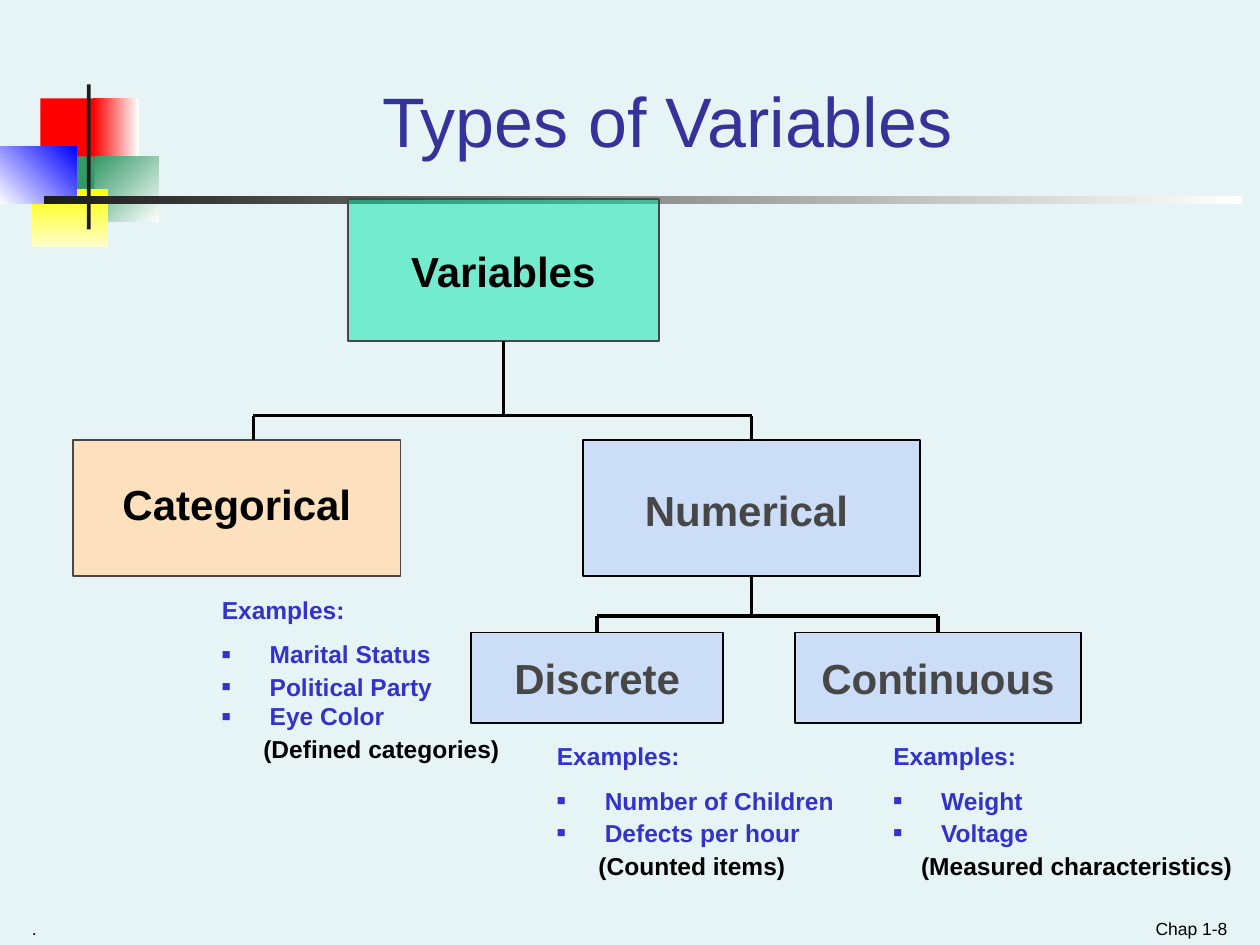
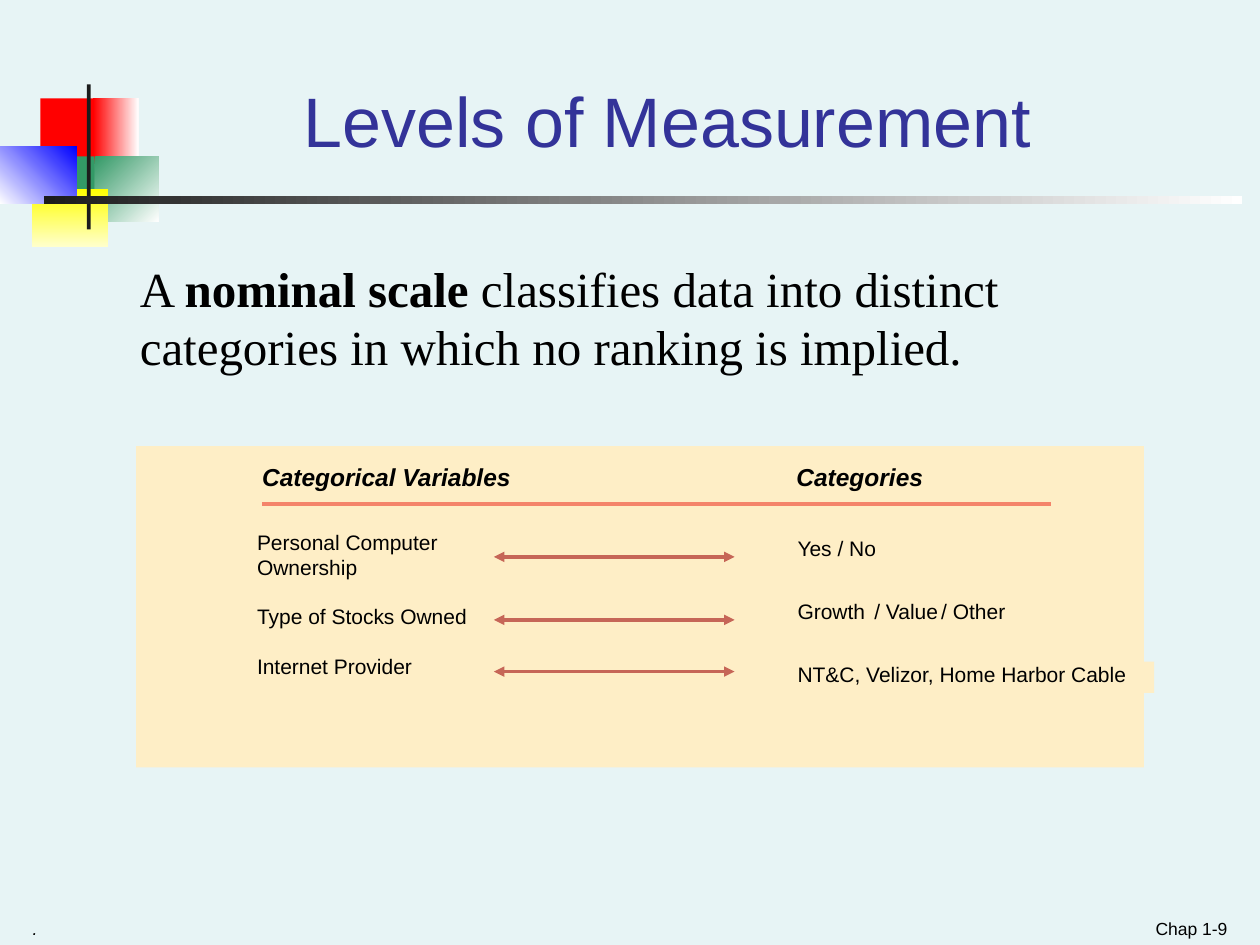
"""Builds two slides on types of variables and the nominal scale."""
from lxml import etree
from pptx import Presentation
from pptx.dml.color import RGBColor
from pptx.enum.shapes import MSO_CONNECTOR, MSO_SHAPE
from pptx.enum.text import MSO_ANCHOR, PP_ALIGN
from pptx.oxml.ns import qn
from pptx.util import Inches, Pt

RECT, LINE = MSO_SHAPE.RECTANGLE, MSO_CONNECTOR.STRAIGHT
LEFT, MID, RIGHT = PP_ALIGN.LEFT, PP_ALIGN.CENTER, PP_ALIGN.RIGHT
TOP, CENTER, BOTTOM = MSO_ANCHOR.TOP, MSO_ANCHOR.MIDDLE, MSO_ANCHOR.BOTTOM

PAPER, TITLE, BLACK, INK = "E7F4F5", "333399", "000000", "1C1C1C"
BLUE, GRAY, SKY, CREAM = "3333CC", "474747", "CBDDF7", "FEEEC6"
PAD = (0.09, 0.05, 0.09, 0.05)
FLAT = (0, 0, 0, 0)

# place, first colour, last colour, angle
DECOR = [
    ((0.32, 0.78, 0.48, 0.52), "FF0000", None, 0),
    ((0.74, 0.78, 0.36, 0.52), "FF0000", "FFFFFF", 0),
    ((0.75, 1.24, 0.51, 0.52), "339966", "FFFFFF", 45),
    ((0.43, 1.24, 0.32, 0.52), "339966", None, 0),
    ((0.25, 1.5, 0.61, 0.46), "FFFF00", "FFFFCC", 90),
    ((0, 1.16, 0.61, 0.46), "FFFFFF", "0000FF", 315),
    ((0.69, 0.67, 0.03, 1.15), INK, None, 0),
    ((0.35, 1.56, 9.51, 0.06), INK, "FFFFFF", 0),
]

# name: place, fill, line, text colour, insets
NODES = {
    "Variables": ((2.76, 1.58, 2.47, 1.13), "00E4A8", GRAY, BLACK, PAD),
    "Categorical": ((0.58, 3.49, 2.6, 1.08), "FDE0BD", GRAY, BLACK,
                    (0.1, 0.05, 0.1, 0.12)),
    "Numerical": ((4.63, 3.49, 2.67, 1.08), SKY, BLACK, GRAY,
                  (0.1, 0.08, 0.18, 0.05)),
    "Discrete": ((3.74, 5.02, 2, 0.72), SKY, BLACK, GRAY, PAD),
    "Continuous": ((6.31, 5.02, 2.27, 0.72), SKY, BLACK, GRAY, PAD),
}
# parent, height of the bar, line width, children with the shift of each drop
FORKS = [
    ("Variables", 3.3, 1.75, [("Categorical", 0.13), ("Numerical", 0)]),
    ("Numerical", 4.89, 2, [("Discrete", 0), ("Continuous", 0)]),
]
# place, items with the space before each, note, indent of the note
CASES = [
    ((1.67, 4.67, 2.75, 1.43),
     [("Marital Status", 8.8), ("Political Party", 1.8), ("Eye Color", 0)],
     "(Defined categories)", 0.33),
    ((4.33, 5.83, 2.5, 1.2),
     [("Number of Children", 8.8), ("Defects per hour", 1.8)],
     "(Counted items)", 0.33),
    ((7, 5.83, 3, 1.2), [("Weight", 8.8), ("Voltage", 1.8)],
     "(Measured characteristics)", 0.22),
]

SCALE = ["A ", "nominal scale", " classifies data into distinct categories "
         "in which no ranking is implied."]
HEADS = "Categorical Variables\tCategories"
NAMES = ["Personal Computer Ownership", "Type of Stocks Owned",
         "Internet Provider"]
# text, place, tab stops
KINDS = [
    ("Yes / No", (6.33, 4.25, 0.97, 0.28), ()),
    ("Growth\t/ Value\t/ Other", (6.33, 4.75, 1.87, 0.34), (0.61, 1.14)),
    ("NT&C, Velizor, Home Harbor Cable", (6.33, 5.25, 2.83, 0.25), ()),
]
ARROWS = [4.42, 4.92, 5.33]


def rgb(code):
    return RGBColor.from_string(code)


def add(node, tag, **attrs):
    return etree.SubElement(node, qn(tag), attrs)


def paint(part, code):
    part.solid()
    part.fore_color.rgb = rgb(code)


def rect(slide, place, fill, edge=None):
    shape = slide.shapes.add_shape(RECT, *map(Inches, place))
    shape.shadow.inherit = False
    paint(shape.fill, fill)
    if edge:
        shape.line.color.rgb = rgb(edge)
        shape.line.width = Pt(1)
    else:
        shape.line.fill.background()
    return shape


def blend(shape, first, last, angle):
    shape.fill.gradient()
    shape.fill.gradient_angle = -angle % 360
    for stop, code in zip(shape.fill.gradient_stops, (first, last)):
        stop.color.rgb = rgb(code)


def style(para, size, color, face="Arial", bold=False, slant=False):
    for run in para.runs:
        font = run.font
        font.name, font.size = face, Pt(size)
        font.bold, font.italic = bold, slant
        font.color.rgb = rgb(color)


def frame(shape, pad=PAD, anchor=TOP):
    box = shape.text_frame
    box.word_wrap = True
    box.vertical_anchor = anchor
    (box.margin_left, box.margin_top,
     box.margin_right, box.margin_bottom) = map(Inches, pad)
    return box


def write(shape, text, size, color, align=LEFT, pad=PAD, anchor=TOP, **look):
    box = frame(shape, pad, anchor)
    box.text = text
    for para in box.paragraphs:
        para.alignment = align
        style(para, size, color, **look)
    return box


def blank(slide, place):
    return slide.shapes.add_textbox(*map(Inches, place))


def indent(para, left, first=0):
    props = para._p.get_or_add_pPr()
    props.set("marL", str(Inches(left)))
    props.set("indent", str(Inches(first)))
    return props


def tabs(para, stops):
    if stops:
        group = add(para._p.get_or_add_pPr(), "a:tabLst")
        for stop in stops:
            add(group, "a:tab", pos=str(Inches(stop)), algn="l")


def line(slide, start, end, color, width, heads=False):
    link = slide.shapes.add_connector(LINE, *map(Inches, start + end))
    link.line.color.rgb = rgb(color)
    link.line.width = Pt(width)
    if heads:
        stroke = link.line._get_or_add_ln()
        add(stroke, "a:headEnd", type="triangle")
        add(stroke, "a:tailEnd", type="triangle")
    add(link._element.spPr, "a:effectLst")
    return link


def base(deck, title, page):
    slide = deck.slides.add_slide(deck.slide_layouts[6])
    paint(slide.background.fill, PAPER)
    for place, first, last, angle in DECOR:
        shape = rect(slide, place, first)
        if last:
            blend(shape, first, last, angle)
    write(blank(slide, (1.26, 0.25, 8.07, 1.08)), title, 40, TITLE, MID,
          anchor=BOTTOM)
    write(blank(slide, (0.17, 7.15, 6.17, 0.35)), ".", 10, BLACK,
          anchor=BOTTOM, slant=True)
    write(blank(slide, (7.5, 7.15, 2.33, 0.35)), f"Chap 1-{page}", 10, BLACK,
          RIGHT, anchor=BOTTOM)
    return slide


def fork(slide, boxes, parent, bar, width, kids):
    left, top, wide, high = NODES[parent][0]
    stem = left + wide / 2
    trunk = line(slide, (stem, top + high), (stem, bar), BLACK, width)
    trunk.begin_connect(boxes[parent], 2)
    ends = []
    for kid, shift in kids:
        left, top, wide, _ = NODES[kid][0]
        drop = left + wide / 2 + shift
        ends.append(drop)
        link = line(slide, (drop, bar), (drop, top), BLACK, width)
        if not shift:
            link.end_connect(boxes[kid], 0)
    line(slide, (ends[0], bar), (ends[-1], bar), BLACK, width)


def case(slide, place, items, note, inset):
    names = [name for name, _ in items]
    box = write(blank(slide, place), "\n".join(["Examples:", *names, note]),
                14, BLUE, bold=True)
    for para, (_, gap) in zip(box.paragraphs[1:], items):
        para.space_before = Pt(gap)
        props = indent(para, 0.38, -0.38)
        add(add(props, "a:buClr"), "a:srgbClr", val=BLUE)
        add(props, "a:buSzPct", val="60000")
        add(props, "a:buFont", typeface="Arial")
        add(props, "a:buChar", char="■")
    last = box.paragraphs[-1]
    last.space_before = Pt(1.8)
    indent(last, inset)
    style(last, 14, BLACK, bold=True)


def tree(deck):
    slide = base(deck, "Types of Variables", 8)
    boxes = {}
    for name, (place, fill, edge, ink, pad) in NODES.items():
        boxes[name] = rect(slide, place, fill, edge)
        write(boxes[name], name, 24, ink, MID, pad, CENTER, bold=True)
    tint = boxes["Variables"]._element.spPr.find(".//" + qn("a:srgbClr"))
    add(tint, "a:alpha", val="50000")
    for row in FORKS:
        fork(slide, boxes, *row)
    for row in CASES:
        case(slide, *row)


def levels(deck):
    slide = base(deck, "Levels of Measurement", 9)
    para = frame(blank(slide, (0.67, 2, 8.83, 1.17))).paragraphs[0]
    for piece in SCALE:
        para.add_run().text = piece
    indent(para, 0.35)
    style(para, 28, BLACK, "Times New Roman")
    para.runs[1].font.bold = True

    rect(slide, (1.08, 3.54, 8, 2.55), CREAM)
    head = write(rect(slide, (2.08, 3.67, 6.49, 0.66), CREAM), HEADS, 14,
                 BLACK, pad=FLAT, bold=True, slant=True)
    tabs(head.paragraphs[0], [4.24])
    names = write(rect(slide, (2.04, 4.2, 2.1, 1.55), CREAM),
                  "\n".join(NAMES), 12, BLACK, pad=FLAT)
    for para in names.paragraphs[1:]:
        para.space_before = Pt(13.8)
    for text, place, stops in KINDS:
        kind = write(rect(slide, place, CREAM), text, 12, BLACK, pad=FLAT)
        tabs(kind.paragraphs[0], stops)
    line(slide, (2.08, 4), (8.34, 4), "F4846A", 1.9)
    for y in ARROWS:
        line(slide, (3.92, y), (5.83, y), "C66657", 1.9, True)


def main():
    deck = Presentation()
    deck.slide_width, deck.slide_height = Inches(10), Inches(7.5)
    tree(deck)
    levels(deck)
    deck.save("out.pptx")


if __name__ == "__main__":
    main()
